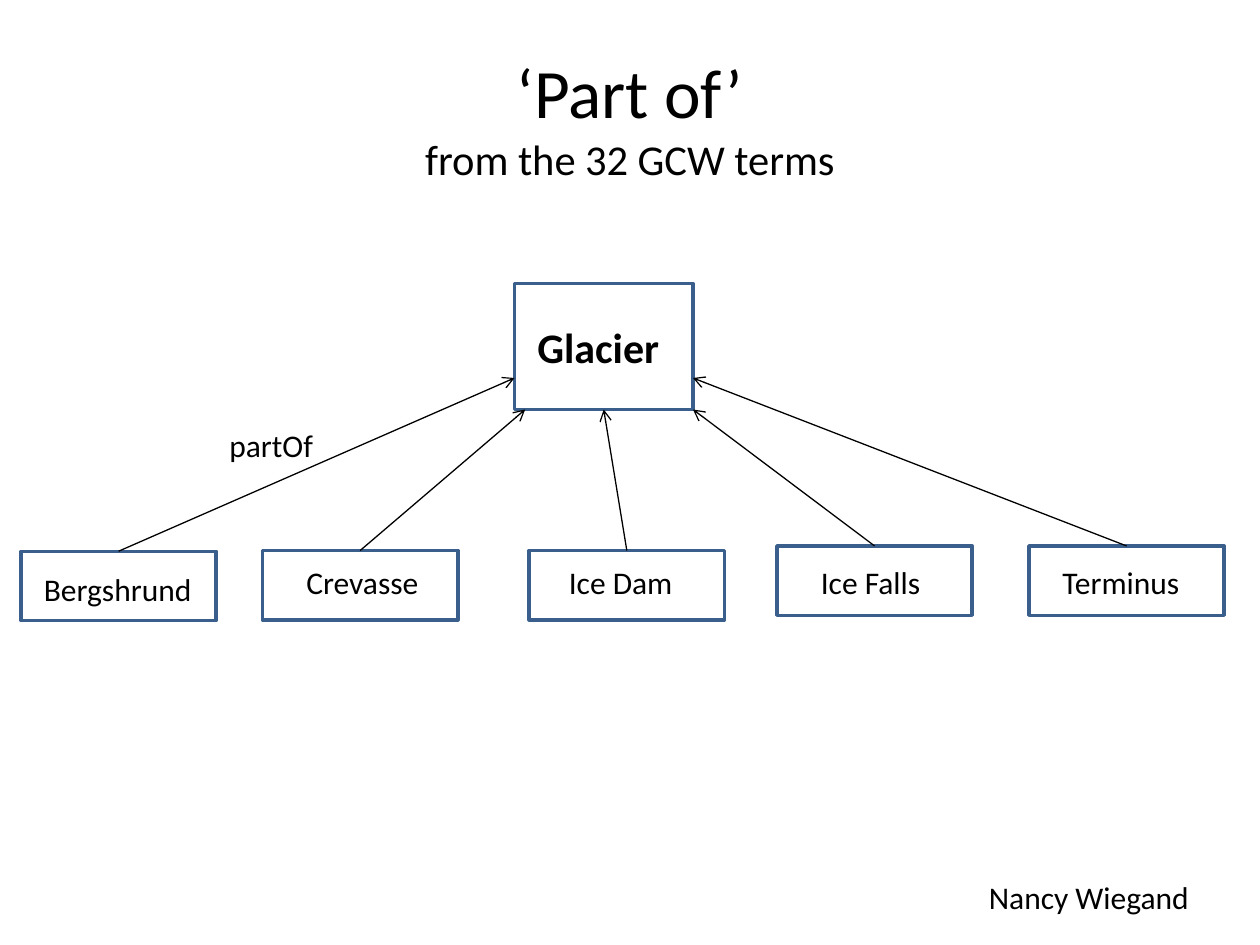
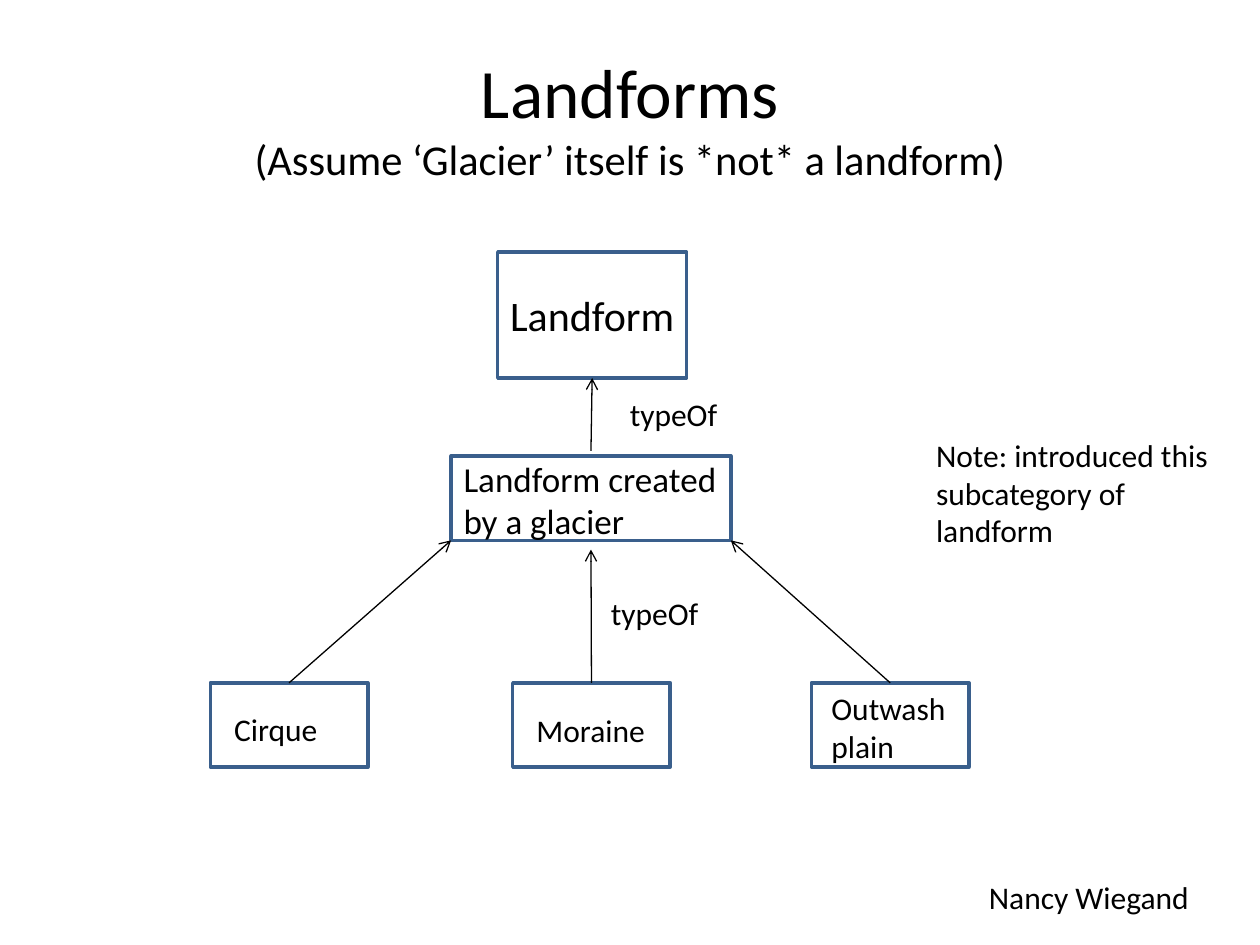
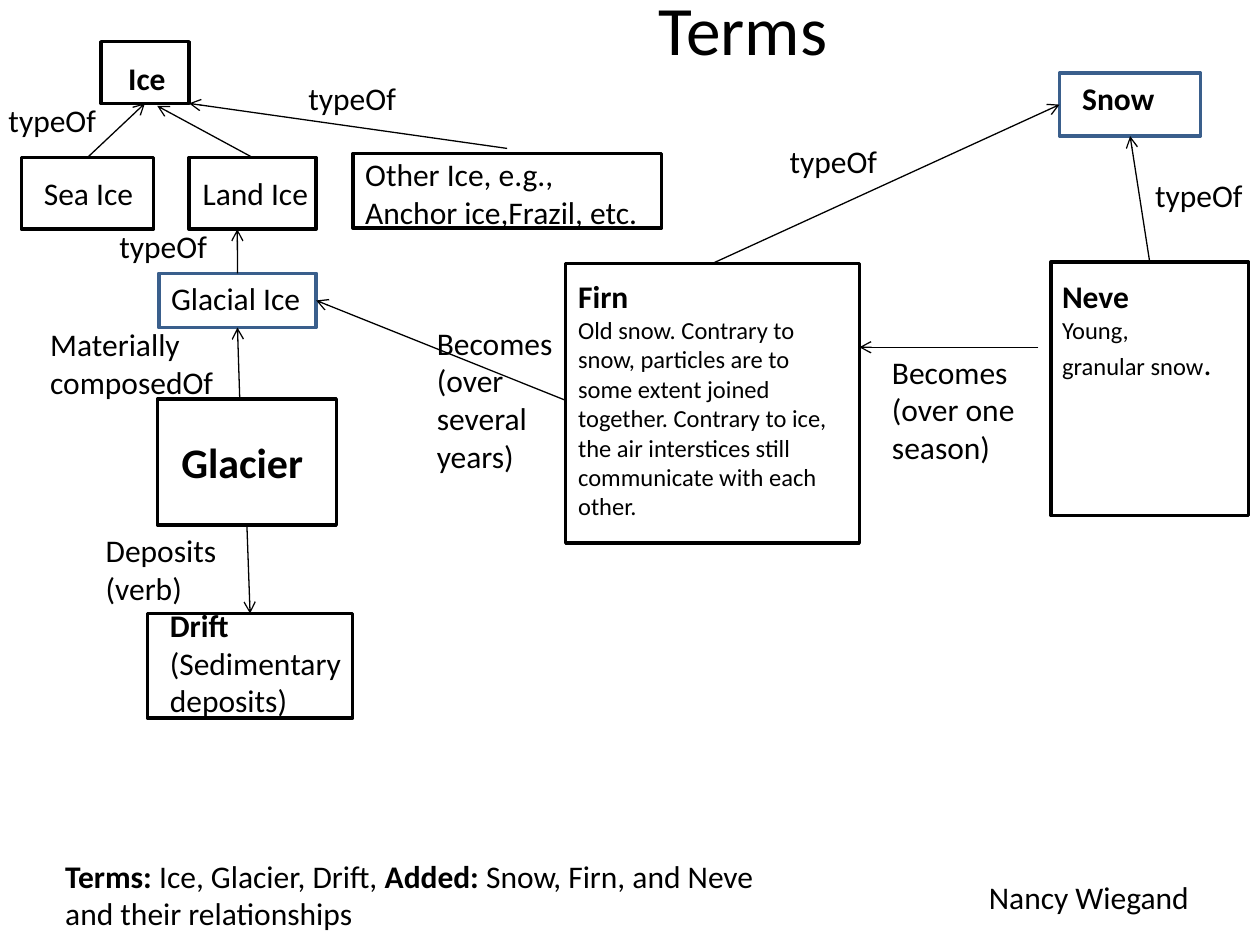
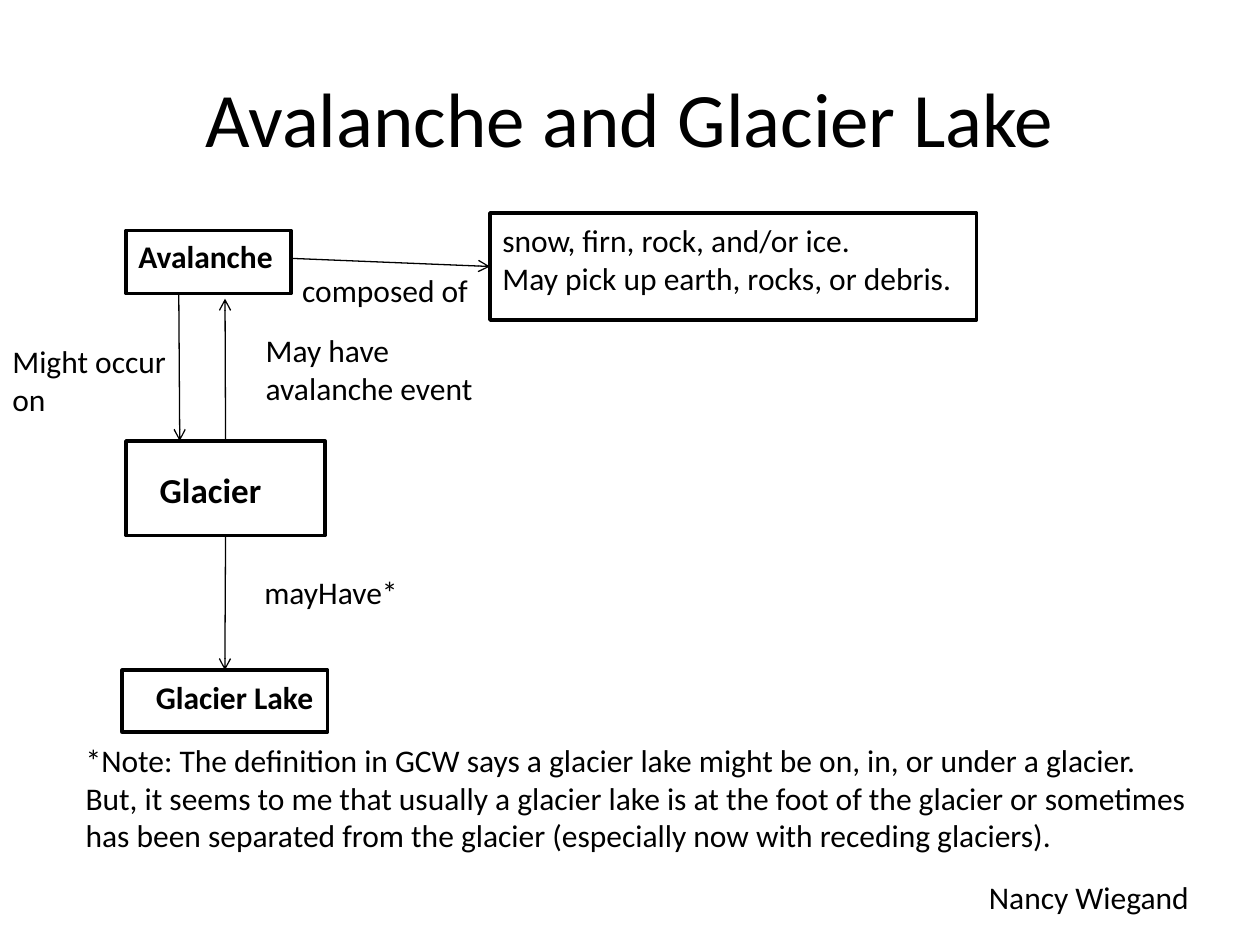
import dataclasses

import lxml.etree
import pptx
import pptx.dml.color
import pptx.enum.shapes
import pptx.enum.text
import pptx.oxml.ns
import pptx.util


@dataclasses.dataclass(frozen=True)
class Theme:
    font: str = "Calibri"
    black: str = "000000"
    white: str = "FFFFFF"
    blue: str = "3A5F8C"
    title: float = 39.6
    large_title: float = 44
    subtitle: float = 24.3
    heading: float = 24
    subheading: float = 20
    body: float = 18
    detail: float = 14
    box_line: float = 2
    arrow_line: float = 0.75


THEME = Theme()
TITLE_AREA = (36, 21.6, 648, 90)


def points(*values):
    return [pptx.util.Pt(value) for value in values]


def color(code):
    return pptx.dml.color.RGBColor.from_string(code)


def write_text(frame, text, *, size=THEME.body, bold=False, align=None):
    """Write one paragraph per line; a line is a string or a list of (text, format) spans."""
    lines = [text] if isinstance(text, str) else text
    for index, line in enumerate(lines):
        para = frame.paragraphs[0] if index == 0 else frame.add_paragraph()
        para.alignment = align
        for words, changes in [(line, {})] if isinstance(line, str) else line:
            if words == "\n":
                para.add_line_break()
                continue
            span = para.add_run()
            span.text = words
            span.font.name = THEME.font
            span.font.size = pptx.util.Pt(changes.get("size", size))
            span.font.bold = changes.get("bold", bold)
            span.font.color.rgb = color(THEME.black)


def add_page(deck, title, subtitle=None, size=THEME.title, area=TITLE_AREA):
    """Add a slide with its title and the author's name."""
    page = deck.slides.add_slide(deck.slide_layouts.get_by_name("Title Only"))
    holder = page.shapes.title
    holder.left, holder.top, holder.width, holder.height = points(*area)
    frame = holder.text_frame
    frame.auto_size = pptx.enum.text.MSO_AUTO_SIZE.NONE
    frame.vertical_anchor = pptx.enum.text.MSO_ANCHOR.MIDDLE
    spans = [(title, {})]
    if subtitle:
        spans += [("\n", {}), (subtitle, {"size": THEME.subtitle})]
    write_text(frame, [spans], size=size, align=pptx.enum.text.PP_ALIGN.CENTER)
    add_label(page, "Nancy Wiegand", 558, 498, 130.3)
    return page


def add_box(page, left, top, width, height, line=THEME.black, filled=False):
    box = page.shapes.add_shape(
        pptx.enum.shapes.MSO_SHAPE.RECTANGLE, *points(left, top, width, height))
    box.shadow.inherit = False
    if filled:
        box.fill.solid()
        box.fill.fore_color.rgb = color(THEME.white)
    else:
        box.fill.background()
    box.line.color.rgb = color(line)
    box.line.width = pptx.util.Pt(THEME.box_line)
    return box


def add_label(page, text, left, top, width, height=None, wrap=False, size=THEME.body, bold=False):
    """Add a text box, by default as tall as its lines."""
    count = 1 if isinstance(text, str) else len(text)
    height = height or count * size * 1.2 + 7.2
    frame = page.shapes.add_textbox(*points(left, top, width, height)).text_frame
    frame.word_wrap = wrap
    frame.auto_size = pptx.enum.text.MSO_AUTO_SIZE.SHAPE_TO_FIT_TEXT
    write_text(frame, text, size=size, bold=bold)


def spot(box, across, down):
    """Return the point at these fractions of a box's width and height."""
    return int(box.left + across * box.width), int(box.top + down * box.height)


def add_arrow(page, start, end):
    arrow = page.shapes.add_connector(
        pptx.enum.shapes.MSO_CONNECTOR.STRAIGHT, *start, *end)
    arrow.line.color.rgb = color(THEME.black)
    arrow.line.width = pptx.util.Pt(THEME.arrow_line)
    qn = pptx.oxml.ns.qn
    lxml.etree.SubElement(arrow.get_or_add_ln(), qn("a:tailEnd"), type="arrow")
    lxml.etree.SubElement(arrow.element.spPr, qn("a:effectLst"))


def build_part_of(deck):
    page = add_page(deck, "‘Part of’", "from the 32 GCW terms")
    glacier = add_box(page, 294, 162, 102, 72, THEME.blue)
    add_label(page, "Glacier", 300, 180, 85, size=THEME.heading, bold=True)
    parts = [
        # name, box left and top, label left, top and width, arrow target on the glacier
        ("Bergshrund", 12, 315, 18, 322, 100, (0, 0.75)),
        ("Crevasse", 150, 314.6, 168, 318, 79.2, (0.06, 1)),
        ("Ice Dam", 302.4, 314.6, 318, 318, 74.2, (0.5, 1)),
        ("Ice Falls", 444, 312, 462, 318, 72, (1, 1)),
        ("Terminus", 588, 312, 600, 318, 82, (1, 0.75)),
    ]
    for name, left, top, label_left, label_top, label_width, target in parts:
        part = add_box(page, left, top, 111.6, 39.6, THEME.blue)
        add_label(page, name, label_left, label_top, label_width)
        add_arrow(page, spot(part, 0.5, 0), spot(glacier, *target))
    add_label(page, "partOf", 124, 240, 62.6)


def build_landforms(deck):
    page = add_page(deck, "Landforms", "(Assume ‘Glacier’ itself is *not* a landform)")
    landform = add_box(page, 284.4, 144, 108, 72, THEME.blue)
    add_label(page, "Landform", 284.4, 162, 109.4, size=THEME.heading)
    created = add_box(page, 257.8, 260.6, 159.8, 48.2, THEME.blue)
    add_label(page, ["Landform created", "by a glacier"], 257.8, 257.8, 160.6,
              size=THEME.subheading)
    add_arrow(page, spot(created, 0.5, -0.06), spot(landform, 0.5, 1))
    kinds = [
        ("Cirque", 120.2, 126.7, 402, 62.6, (0, 1)),
        ("Moraine", 293, 299.5, 403, 77, (0.5, 1.11)),
        (["Outwash", "plain"], 463.7, 468, 390.2, 80.6, (1, 1)),
    ]
    for name, left, label_left, label_top, label_width, target in kinds:
        kind = add_box(page, left, 390.2, 90, 48.2, THEME.blue)
        add_label(page, name, label_left, label_top, label_width)
        add_arrow(page, spot(kind, 0.5, 0), spot(created, *target))
    for left, top in [(352.8, 222), (342, 336)]:
        add_label(page, "typeOf", left, top, 64.8)
    add_label(page, ["Note: introduced this", "subcategory of", "landform"], 527.8, 245.5, 172)


def build_terms(deck):
    page = add_page(deck, "Terms ", area=(144, 5.8, 570.2, 20.2))
    other_ice = add_box(page, 201.6, 87.8, 176.4, 42.5, filled=True)
    glacial_ice = add_box(page, 90.7, 156.2, 90, 31, THEME.blue)
    glacier = add_box(page, 90, 228, 102.2, 72)
    drift = add_box(page, 84.2, 350.6, 117.4, 59.8)
    neve = add_box(page, 600.5, 149.8, 113, 144.7)
    snow = add_box(page, 605.5, 41.8, 80.6, 36, THEME.blue)
    firn = add_box(page, 323.3, 150.5, 167.8, 159.8)
    land_ice = add_box(page, 108, 90, 72.7, 41)
    sea_ice = add_box(page, 12.2, 90, 75.6, 41)
    ice = add_box(page, 57.6, 23.8, 50.4, 35.3)

    head = {"size": THEME.body, "bold": True}
    add_label(page, "Ice", 66.2, 30.2, 36, bold=True)
    add_label(page, "Sea Ice", 18, 96, 66.2)
    add_label(page, "Land Ice", 108.7, 96, 75.6)
    add_label(page, "Other Ice, e.g., Anchor ice,Frazil, etc.", 201.6, 85, 176.4, 50.4, wrap=True)
    add_label(page, "Glacial Ice", 90.7, 156.2, 89.3)
    add_label(page, "Glacier", 96.5, 246.2, 85, size=THEME.heading, bold=True)
    add_label(page, [[("Drift", head)], "(Sedimentary", "deposits)"], 90, 342.7, 117.4)
    add_label(page, "Snow", 611.3, 41.8, 56.2, bold=True)
    add_label(page, [
        [("Firn", head)],
        "Old snow. Contrary to snow, particles are to some extent joined",
        "together. Contrary to ice,",
        "the air interstices still",
        "communicate with each other.",
    ], 323.3, 154.8, 167.8, 147.6, wrap=True, size=THEME.detail)
    add_label(page, [
        [("Neve", head)],
        "Young,",
        [("granular snow", {}), (".", {"size": THEME.body})],
    ], 599.8, 154.8, 100.8, 67.7, size=THEME.detail)

    for left, top in [(653, 97.2), (444.2, 77.8), (61.2, 126), (-2.2, 54), (169.2, 41.8)]:
        add_label(page, "typeOf", left, top, 64.8)
    add_label(page, ["Materially", "composedOf"], 21.6, 182.2, 108.7)
    add_label(page, ["Deposits", "(verb)"], 53.3, 300.2, 78.5)
    add_label(page, ["Becomes", "(over", "several", "years)"], 242.6, 181.4, 81.4)
    add_label(page, ["Becomes", "(over one", "season)"], 502.6, 198, 85.7)
    add_label(page, [
        [("Terms:", head), (" Ice, Glacier, Drift, ", {}),
         ("Added:", head), (" Snow, Firn, and Neve", {})],
        "and their relationships",
    ], 30.2, 486, 411.8)

    for start, start_at, end, end_at in [
        (sea_ice, (0.5, 0), ice, (0.5, 1)),
        (land_ice, (0.5, 0), ice, (0.64, 1.04)),
        (other_ice, (0.5, -0.07), ice, (1, 1)),
        (glacial_ice, (0.5, 0), land_ice, (0.38, 1)),
        (glacier, (0.46, 0), glacial_ice, (0.5, 1)),
        (glacier, (0.5, 1), drift, (0.5, 0)),
        (firn, (0, 0.49), glacial_ice, (1, 0.5)),
        (firn, (0.5, 0), snow, (0, 0.5)),
        (neve, (0.5, 0), snow, (0.5, 1)),
    ]:
        add_arrow(page, spot(start, *start_at), spot(end, *end_at))
    firn_side = spot(firn, 1, 0.3)
    add_arrow(page, (pptx.util.Pt(593.3), firn_side[1]), firn_side)


def build_avalanche(deck):
    page = add_page(deck, "Avalanche and Glacier Lake", size=THEME.large_title)
    lake = add_box(page, 69.8, 383, 117.4, 35.3, filled=True)
    materials = add_box(page, 280, 121.7, 278, 61.2, filled=True)
    avalanche = add_box(page, 72, 131.8, 94.3, 36, filled=True)
    glacier = add_box(page, 72, 252, 113.8, 54, filled=True)

    add_label(page, "Avalanche", 72, 131.8, 95.8, bold=True)
    add_label(page, ["snow, firn, rock, and/or ice.", "May pick up earth, rocks, or debris."],
              280, 123, 278)
    add_label(page, "Glacier", 84.2, 264.2, 81.4, wrap=True, size=THEME.subheading, bold=True)
    add_label(page, "Glacier Lake", 82, 383.8, 105, bold=True)
    add_label(page, "composed of", 165.6, 151.2, 110.2)
    add_label(page, ["May have", "avalanche event"], 144.7, 185.8, 134)
    add_label(page, ["Might occur", "on"], 0, 192.2, 103.7)
    add_label(page, "mayHave*", 144, 324, 91.4)
    add_label(page, [
        "*Note: The definition in GCW says a glacier lake might be on, in, or under a glacier.",
        "But, it seems to me that usually a glacier lake is at the foot of the glacier or sometimes",
        "has been separated from the glacier (especially now with receding glaciers).",
    ], 41.8, 419.8, 663.8)

    for start, start_at, end, end_at in [
        (avalanche, (1, 0.44), materials, (0, 0.5)),
        (avalanche, (0.32, 1), glacier, (0.27, 0)),
        (glacier, (0.5, 0), avalanche, (0.6, 1.08)),
        (glacier, (0.5, 1), lake, (0.5, 0)),
    ]:
        add_arrow(page, spot(start, *start_at), spot(end, *end_at))


def main():
    deck = pptx.Presentation()
    deck.slide_width, deck.slide_height = points(720, 540)
    build_part_of(deck)
    build_landforms(deck)
    build_terms(deck)
    build_avalanche(deck)
    deck.save("out.pptx")


if __name__ == "__main__":
    main()
